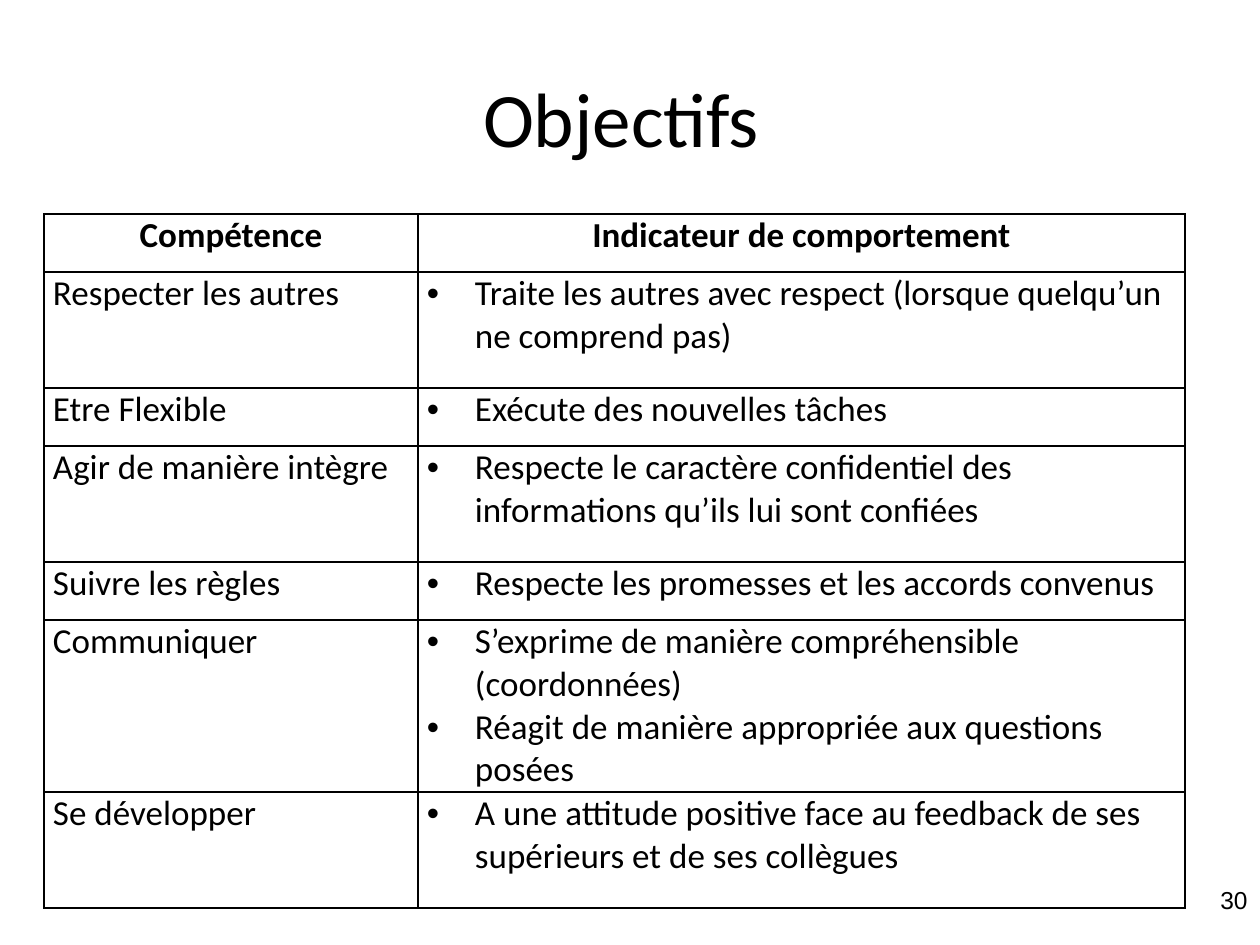
from pptx import Presentation
from pptx import util as u
from pptx.dml.color import RGBColor
from pptx.enum import text
from pptx.oxml import parse_xml
from pptx.oxml.ns import nsdecls

BLACK, WHITE = "000000", "FFFFFF"
LINE = 58
HEADERS = ["Compétence", "Indicateur de comportement"]
SKILLS = [
    ("Respecter les autres", 2 * LINE,
     ["Traite les autres avec respect (lorsque quelqu’un ne comprend pas)"]),
    ("Etre Flexible", LINE, ["Exécute des nouvelles tâches"]),
    ("Agir de manière intègre", 2 * LINE,
     ["Respecte le caractère confidentiel des informations qu’ils lui sont confiées"]),
    ("Suivre les règles", LINE, ["Respecte les promesses et les accords convenus"]),
    ("Communiquer", 172,
     ["S’exprime de manière compréhensible (coordonnées)",
      "Réagit de manière appropriée aux questions posées"]),
    ("Se développer", 2 * LINE,
     ["A une attitude positive face au feedback de ses supérieurs et de ses collègues"]),
]


def px(length):
    return u.Emu(round(length * 914400 / 126))


def color(value):
    return RGBColor.from_string(value)


def write(frame, lines, size=20, font="Calibri", bold=False,
          align=text.PP_ALIGN.LEFT, bullet=False):
    frame.word_wrap = True
    for index, line in enumerate(lines):
        paragraph = frame.paragraphs[0] if index == 0 else frame.add_paragraph()
        paragraph.alignment = align
        if bullet:
            properties = paragraph._p.get_or_add_pPr()
            properties.set("marL", str(px(48)))
            properties.set("indent", str(-px(48)))
            properties.append(parse_xml(f'<a:buFont {nsdecls("a")} typeface="Arial"/>'))
            properties.append(parse_xml(f'<a:buChar {nsdecls("a")} char="•"/>'))
        run = paragraph.add_run()
        run.text = line
        run.font.size = u.Pt(size)
        run.font.name = font
        run.font.bold = bold
        run.font.color.rgb = color(BLACK)


def add_label(slide, label, left, top, width, height,
              anchor=text.MSO_ANCHOR.TOP, **style):
    frame = slide.shapes.add_textbox(*map(px, (left, top, width, height))).text_frame
    frame.vertical_anchor = anchor
    write(frame, [label], **style)


def fill_cell(cell, lines, **style):
    cell.margin_left = cell.margin_right = px(9)
    cell.margin_top = cell.margin_bottom = 0
    write(cell.text_frame, lines, **style)
    properties = cell._tc.get_or_add_tcPr()
    for side in ("lnL", "lnR", "lnT", "lnB"):
        properties.append(parse_xml(
            f'<a:{side} {nsdecls("a")} w="12700"><a:solidFill>'
            f'<a:srgbClr val="{BLACK}"/></a:solidFill></a:{side}>'))
    cell.fill.solid()
    cell.fill.fore_color.rgb = color(WHITE)


def add_skills_table(slide):
    widths = [374, 767]
    heights = [LINE] + [height for _, height, _ in SKILLS]
    table = slide.shapes.add_table(
        len(heights), len(widths), px(44), px(214),
        px(sum(widths)), px(sum(heights))).table
    for column, width in zip(table.columns, widths):
        column.width = px(width)
    for row, height in zip(table.rows, heights):
        row.height = px(height)
    for column, header in enumerate(HEADERS):
        fill_cell(table.cell(0, column), [header], bold=True,
                  align=text.PP_ALIGN.CENTER)
    for row, (skill, _, indicators) in enumerate(SKILLS, start=1):
        fill_cell(table.cell(row, 0), [skill])
        fill_cell(table.cell(row, 1), indicators, bullet=True)


def main():
    presentation = Presentation()
    presentation.slide_width, presentation.slide_height = px(1260), px(945)
    slide = presentation.slides.add_slide(presentation.slide_layouts[6])
    add_label(slide, "30", 966, 879, 294, 66, size=14, font="Arial",
              align=text.PP_ALIGN.RIGHT)
    add_label(slide, "Objectifs ", 63, 38, 1134, 158, size=44,
              anchor=text.MSO_ANCHOR.MIDDLE, align=text.PP_ALIGN.CENTER)
    add_skills_table(slide)
    presentation.save("out.pptx")


if __name__ == "__main__":
    main()
